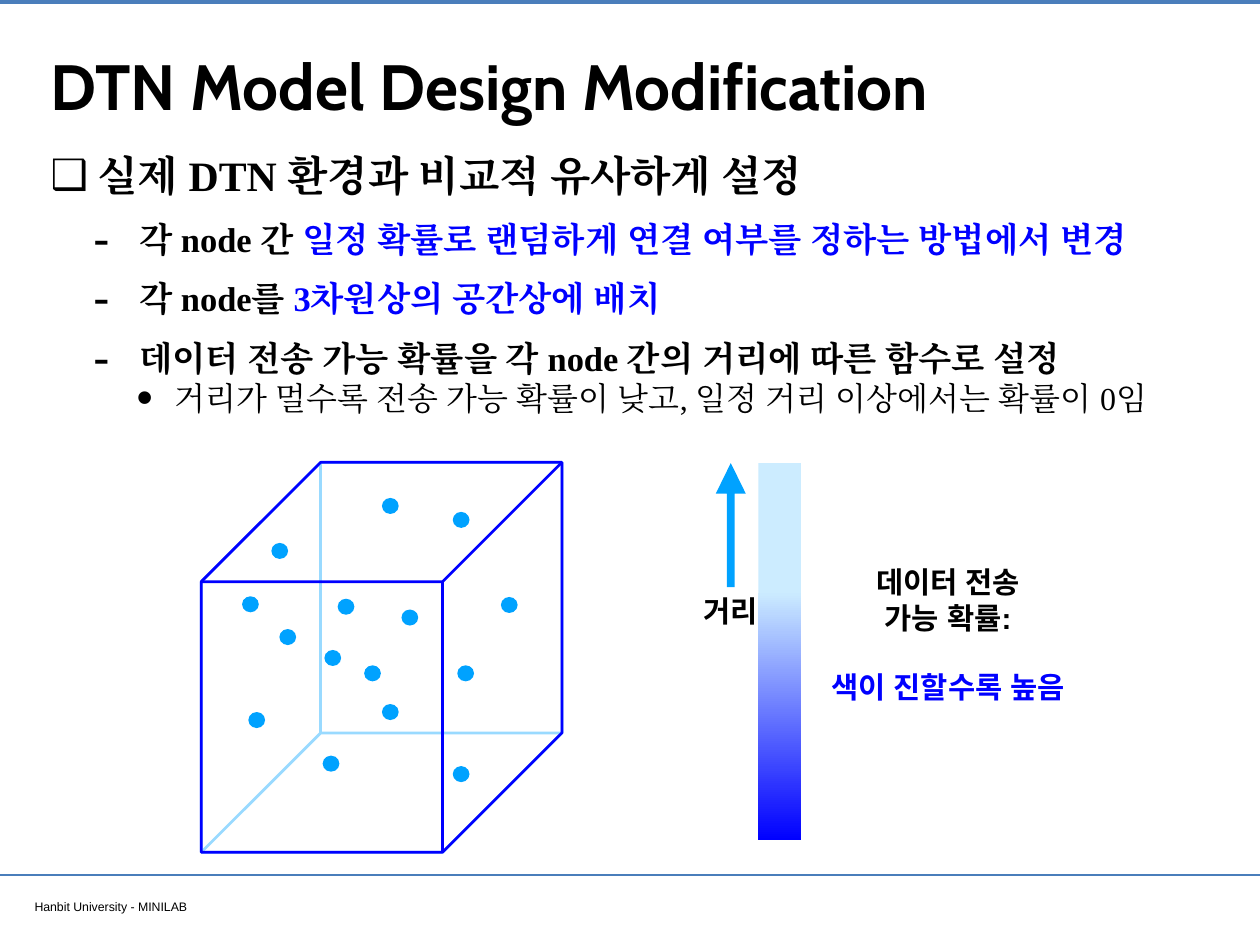
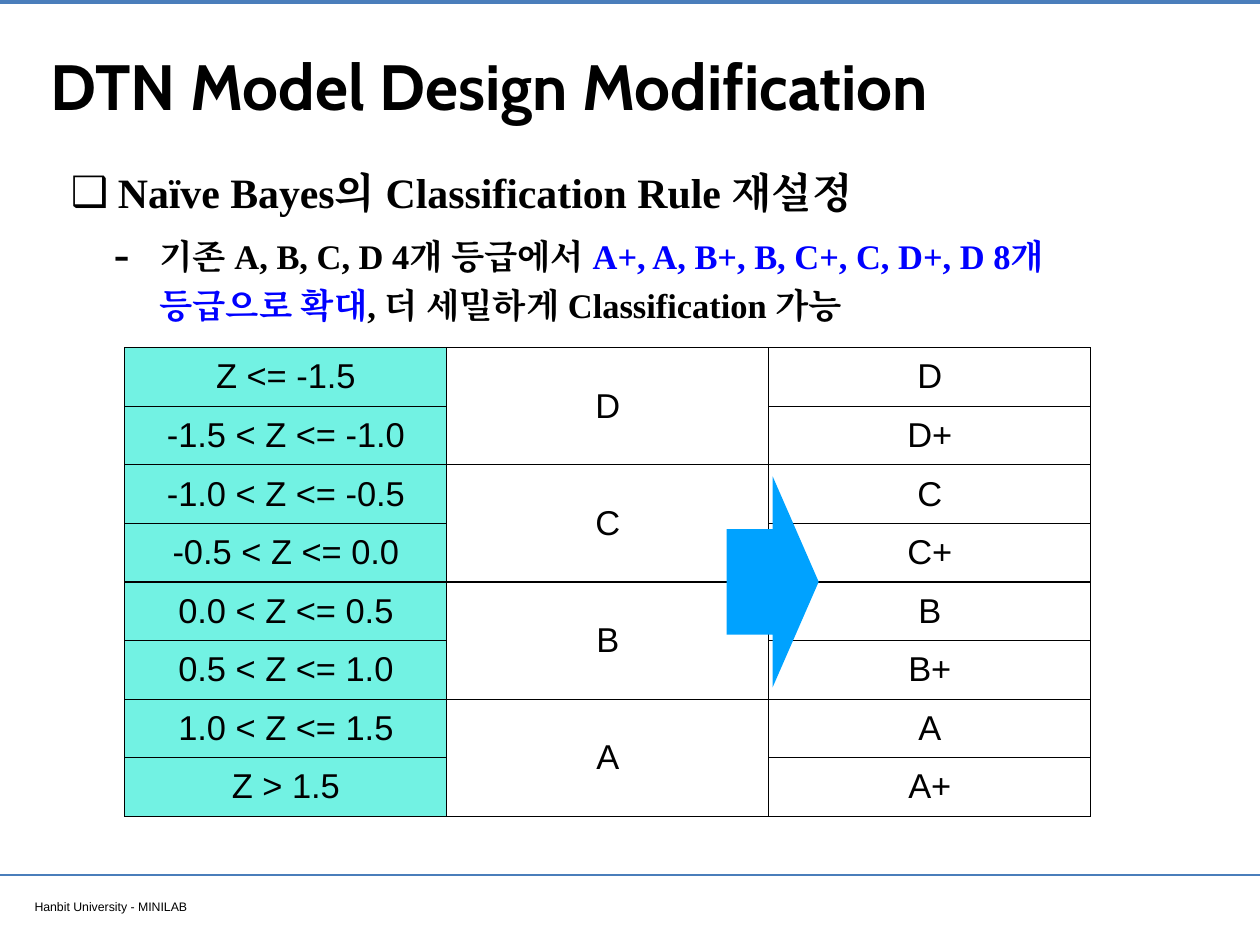
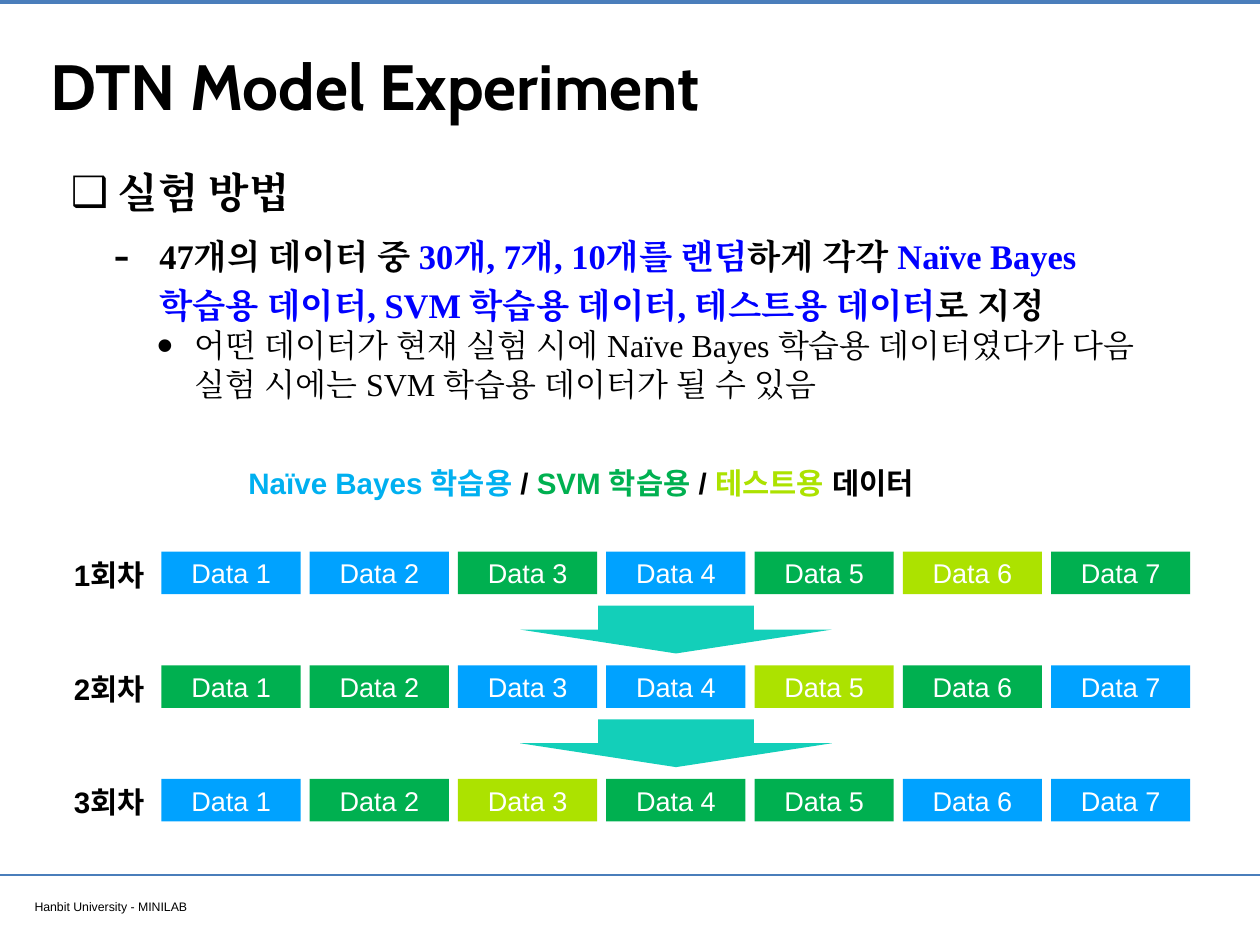
from pptx import Presentation
from pptx import util as u
from pptx.dml.color import RGBColor
from pptx.enum import shapes as es, text as et
from pptx.oxml import ns
from lxml import etree

Cm, Pt = u.Cm, u.Pt
KIND, AL, MID = es.MSO_SHAPE, et.PP_ALIGN, et.MSO_ANCHOR.MIDDLE
WIDE, HIGH, PAD = 36.12, 27.1, 0.15
BLACK, WHITE, RULE = "000000", "FFFFFF", "4A7EBB"
BLUE, SKY, PALE, ICE = "0000FF", "00A2FF", "99DAFF", "CCECFF"
GREEN, LIME, TEAL, AQUA = "00B050", "ACE200", "13CFB9", "72F2E3"
CYAN = "00B0F0"
SANS, SERIF, HEAD = "Arial", "Times New Roman", "Cabin"
FOOT = "Hanbit University - MINILAB"

# Bullet levels: mark, mark size %, left cm, hang cm, points, bold, spacing, before
LEVELS = [
    ("❑", 100, 1.35, 1.35, 34, True, 1.2, 8),
    ("-", 145, 2.54, 1.32, 28, True, 1.2, 8),
    ("•", 145, 3.56, 1.09, 26, False, 1.0, 0),
]


# ---- Basics ----
def color(code):
    return RGBColor.from_string(code)


def sub(node, tag, **attrs):
    return etree.SubElement(node, ns.qn(tag), attrs)


def add_run(para, words, size, font, tint=BLACK, bold=False):
    run = para.add_run()
    run.text = words
    run.font.size, run.font.bold, run.font.name = Pt(size), bold, font
    run.font.color.rgb = color(tint)
    sub(run.font._element, "a:ea", typeface=font)


def set_frame(frame, wrap=True, anchor=MID):
    frame.word_wrap, frame.vertical_anchor = wrap, anchor
    frame.auto_size = et.MSO_AUTO_SIZE.NONE
    frame.margin_left = frame.margin_right = Cm(PAD)
    frame.margin_top = frame.margin_bottom = Cm(PAD)


def add_text(slide, box, runs, size, bold=True, wrap=False, align=AL.CENTER, anchor=MID):
    """Place one paragraph of (words, colour) runs and return its frame."""
    frame = slide.shapes.add_textbox(*map(Cm, box)).text_frame
    set_frame(frame, wrap, anchor)
    frame.paragraphs[0].alignment = align
    for words, tint in runs:
        add_run(frame.paragraphs[0], words, size, SANS, tint, bold)
    return frame


def add_form(slide, kind, box, fill=None, line=None):
    form = slide.shapes.add_shape(kind, *map(Cm, box))
    form.shadow.inherit = False
    if fill:
        form.fill.solid()
        form.fill.fore_color.rgb = color(fill)
    else:
        form.fill.background()
    if line:
        form.line.color.rgb, form.line.width = color(line), Pt(2.25)
    else:
        form.line.fill.background()
    return form


def add_rule(slide, y, width):
    rule = slide.shapes.add_connector(
        es.MSO_CONNECTOR.STRAIGHT, Cm(0), Cm(y), Cm(WIDE), Cm(y))
    rule.line.color.rgb, rule.line.width = color(RULE), Pt(width)
    sub(rule._element.spPr, "a:effectLst")
    return rule


# ---- Shared parts ----
def dress(layout, slide):
    """Draw the bands and footer, then move them into the layout."""
    add_rule(slide, 0.05, 3.2)
    add_rule(slide, 25.1, 2)
    add_text(slide, (0.84, 25.63, 13.87, 0.66), [(FOOT, BLACK)], 10, False,
             True, AL.LEFT, et.MSO_ANCHOR.TOP)
    for part in list(slide.shapes):
        if not part.is_placeholder:
            layout.shapes._spTree.append(part._element)


def set_title(slide, words):
    title = slide.shapes.title
    title.left, title.top, title.width, title.height = map(Cm, (1.3, 0.71, 33.55, 3.43))
    set_frame(title.text_frame)
    para = title.text_frame.paragraphs[0]
    para.alignment = AL.LEFT
    add_run(para, words, 52, HEAD, bold=True)


def add_list(slide, box, items):
    """Place bulleted paragraphs given as (level, runs)."""
    frame = slide.shapes.add_textbox(*map(Cm, box)).text_frame
    set_frame(frame, anchor=et.MSO_ANCHOR.TOP)
    for i, (level, runs) in enumerate(items):
        mark, scale, left, hang, size, bold, space, before = LEVELS[level]
        para = frame.add_paragraph() if i else frame.paragraphs[0]
        para.level, para.line_spacing, para.space_before = level, space, Pt(before)
        props = para._p.get_or_add_pPr()
        props.set("marL", str(Cm(left)))
        props.set("indent", str(-Cm(hang)))
        sub(props, "a:buSzPct", val=str(scale * 1000))
        sub(props, "a:buFont", typeface=SANS)
        sub(props, "a:buChar", char=mark)
        for words, tint in runs:
            add_run(para, words, size, SERIF, tint, bold)


# ---- Slide 1: nodes in space ----
DOTS = [(5.18, 1.02), (7.21, 1.42), (2.24, 4.78), (8.59, 3.86), (4.67, 5.82),
        (7.21, 8.71), (1.35, 7.16), (3.48, 8.41), (7.34, 5.82), (3.91, 3.91),
        (5.74, 4.22), (3.53, 5.38), (2.01, 2.31), (1.17, 3.84), (5.18, 6.93)]


def draw_cube(slide, x, y, w, h):
    for turn, tint in ((180, PALE), (0, BLUE)):
        cube = add_form(slide, KIND.CUBE, (x, y, w, h), line=tint)
        cube.adjustments[0] = 0.331
        cube.rotation = turn
    for dx, dy in DOTS:
        add_form(slide, KIND.OVAL, (x + dx, y + dy, 0.48, 0.46), SKY)


def draw_scale(slide, x, y, h):
    # Colour bar
    bar = add_form(slide, KIND.RECTANGLE, (x + 1.8, y, 1.22, h), BLUE)
    bar.fill.gradient()
    bar.fill.gradient_angle = 270
    for stop, (place, tint) in zip(bar.fill.gradient_stops, ((0.34, ICE), (1, BLUE))):
        stop.position, stop.color.rgb = place, color(tint)
    # Distance arrow
    arrow = add_form(slide, KIND.UP_ARROW, (x + 0.58, y, 0.86, 3.56), SKY)
    arrow.adjustments[0], arrow.adjustments[1] = 0.26, 1.02
    add_text(slide, (x, y + 3.56, 2, 1.32), [("거리", BLACK)], 24)
    # Legend
    frame = add_text(slide, (x + 3.38, y + 2.72, 7.72, 4.39), [("데이터 전송", BLACK)], 24)
    for words, tint, gap in (("가능 확률:", BLACK, 0), ("색이 진할수록 높음", BLUE, 28)):
        para = frame.add_paragraph()
        para.alignment, para.space_before = AL.CENTER, Pt(gap)
        add_run(para, words, 24, SANS, tint, True)


def fill_space(slide):
    set_title(slide, "DTN Model Design Modification")
    add_list(slide, (1.3, 3.86, 32.2, 11.56), [
        (0, [("실제 DTN 환경과 비교적 유사하게 설정", BLACK)]),
        (1, [("각 node 간 ", BLACK),
             ("일정 확률로 랜덤하게 연결 여부를 정하는 방법에서 변경", BLUE)]),
        (1, [("각 node를 ", BLACK), ("3차원상의 공간상에 배치", BLUE)]),
        (1, [("데이터 전송 가능 확률을 각 node 간의 거리에 따른 함수로 설정", BLACK)]),
        (2, [("거리가 멀수록 전송 가능 확률이 낮고, 일정 거리 이상에서는 확률이 0임", BLACK)]),
    ])
    draw_scale(slide, 19.94, 13.28, 10.82)
    draw_cube(slide, 5.77, 13.26, 10.34, 11.18)


# ---- Slide 2: grades ----
RANGES = ["Z <= -1.5", "-1.5 < Z <= -1.0", "-1.0 < Z <= -0.5", "-0.5 < Z <= 0.0",
          "0.0 < Z <= 0.5", "0.5 < Z <= 1.0", "1.0 < Z <= 1.5", "Z > 1.5"]


def set_cell(cell, words, fill=None):
    if fill:
        cell.fill.solid()
        cell.fill.fore_color.rgb = color(fill)
    else:
        cell.fill.background()
    cell.vertical_anchor = MID
    if words:
        para = cell.text_frame.paragraphs[0]
        para.alignment = AL.CENTER
        add_run(para, words, 28, SANS)
    # Borders come before the fill
    props = cell._tc.get_or_add_tcPr()
    for i, side in enumerate(("a:lnL", "a:lnR", "a:lnT", "a:lnB")):
        edge = etree.Element(ns.qn(side), w=str(Pt(1)))
        sub(sub(edge, "a:solidFill"), "a:srgbClr", val=BLACK)
        props.insert(i, edge)


def draw_grades(slide, x, y, w, h):
    table = slide.shapes.add_table(len(RANGES), 3, *map(Cm, (x, y, w, h))).table
    table.first_row = table.horz_banding = False
    for row, span in enumerate(RANGES):
        grade, odd = "DCBA"[row // 2], row % 2
        set_cell(table.cell(row, 0), span, AQUA)
        set_cell(table.cell(row, 1), "" if odd else grade)
        set_cell(table.cell(row, 2), grade + "+" * odd)
    for row in range(0, len(RANGES), 2):
        table.cell(row, 1).merge(table.cell(row + 1, 1))
    add_form(slide, KIND.RIGHT_ARROW, (x + 17.25, y + 3.69, 2.64, 6.05), SKY)


def fill_grades(slide):
    set_title(slide, "DTN Model Design Modification")
    add_list(slide, (1.88, 4.34, 32.2, 6.15), [
        (0, [("Naïve Bayes의 Classification Rule 재설정", BLACK)]),
        (1, [("기존 A, B, C, D 4개 등급에서 ", BLACK),
             ("A+, A, B+, B, C+, C, D+, D 8개 등급으로 확대", BLUE),
             (", 더 세밀하게 Classification 가능", BLACK)]),
    ])
    draw_grades(slide, 3.58, 9.97, 27.69, 13.44)


# ---- Slide 3: rounds ----
TINTS = {"N": SKY, "S": GREEN, "T": LIME}
ROUNDS = ["NNSNSTS", "SSNNTSN", "NSTSSNN"]


def draw_round(slide, x, y, number, roles):
    add_text(slide, (x, y, 2.35, 1.32), [(f"{number}회차", BLACK)], 24, wrap=True)
    for i, role in enumerate(roles):
        box = add_form(slide, KIND.RECTANGLE, (x + 2.67 + 4.25 * i, y, 3.99, 1.22), TINTS[role])
        set_frame(box.text_frame)
        para = box.text_frame.paragraphs[0]
        para.alignment = AL.CENTER
        add_run(para, f"Data {i + 1}", 22, SANS, WHITE)


def draw_rounds(slide, x, y, step):
    add_text(slide, (x + 4.14, y - 2.64, 21.11, 1.32), [
        ("Naïve Bayes 학습용 ", CYAN), ("/ ", BLACK), ("SVM 학습용 ", GREEN),
        ("/ ", BLACK), ("테스트용", LIME), (" 데이터", BLACK)], 24)
    for i, roles in enumerate(ROUNDS):
        top = y + step * i
        draw_round(slide, x, top, i + 1, roles)
        if i:
            add_form(slide, KIND.DOWN_ARROW, (x + 12.95, top - 1.71, 8.94, 1.37), TEAL)


def fill_rounds(slide):
    set_title(slide, "DTN Model Experiment")
    add_list(slide, (1.88, 4.34, 32.2, 7.8), [
        (0, [("실험 방법", BLACK)]),
        (1, [("47개의 데이터 중 ", BLACK), ("30개, 7개, 10개를 랜덤", BLUE),
             ("하게 각각 ", BLACK),
             ("Naïve Bayes 학습용 데이터, SVM 학습용 데이터, 테스트용 데이터", BLUE),
             ("로 지정", BLACK)]),
        (2, [("어떤 데이터가 현재 실험 시에 Naïve Bayes 학습용 데이터였다가 다음 "
              "실험 시에는 SVM 학습용 데이터가 될 수 있음", BLACK)]),
    ])
    draw_rounds(slide, 1.96, 15.82, 3.26)


def main():
    deck = Presentation()
    deck.slide_width, deck.slide_height = Cm(WIDE), Cm(HIGH)
    layout = deck.slide_layouts[5]
    for i, fill in enumerate((fill_space, fill_grades, fill_rounds)):
        slide = deck.slides.add_slide(layout)
        if i == 0:
            dress(layout, slide)
        fill(slide)
    deck.save("out.pptx")


if __name__ == "__main__":
    main()
